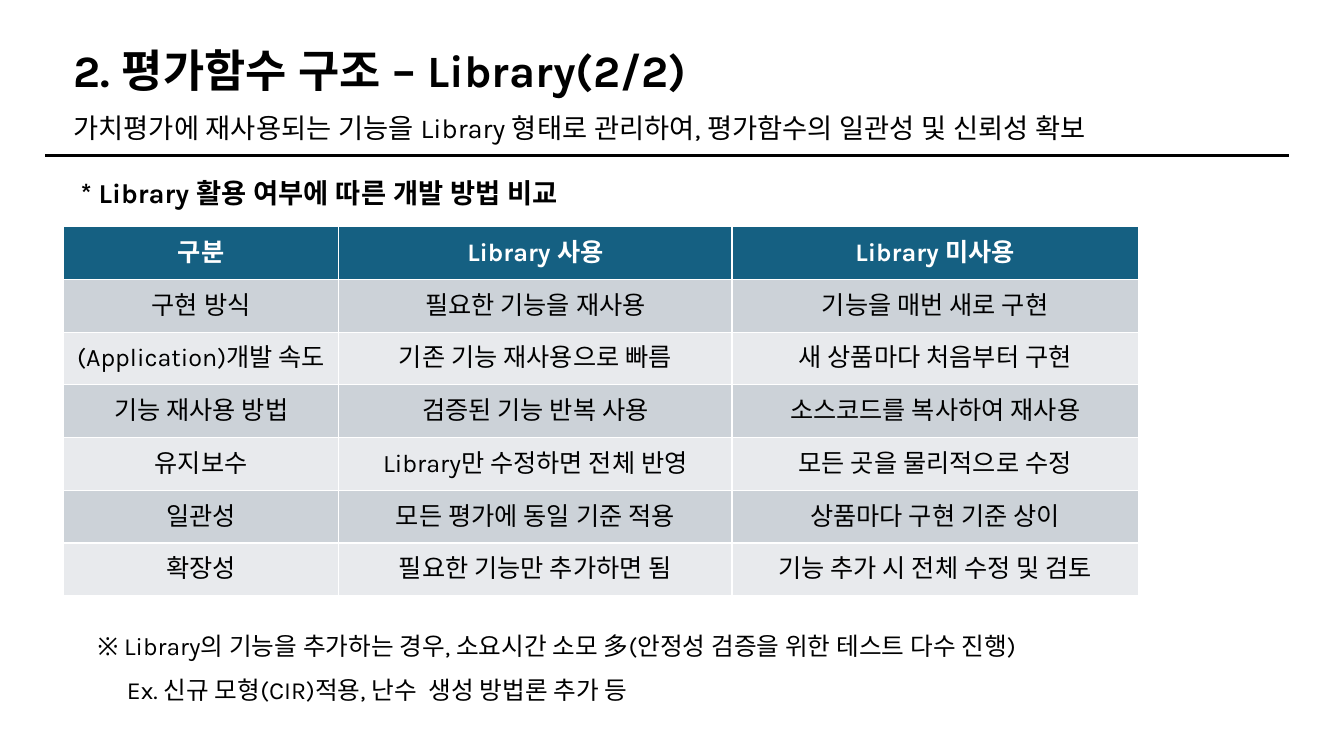
import pptx
import pptx.util
import pptx.dml.color
import pptx.enum.shapes
import pptx.enum.text
import pptx.oxml.ns
import lxml.etree

PX = 9144  # 100 px to the inch
FONT = "Karla"
HUES = {"ink": "000000", "white": "FFFFFF", "head": "156082",
        "dark": "CCD2D8", "light": "E8EAED"}
ALIGN = pptx.enum.text.PP_ALIGN
MID = pptx.enum.text.MSO_ANCHOR.MIDDLE


def tint(name):
    return pptx.dml.color.RGBColor.from_string(HUES[name])


def write(para, text, size, bold=False, hue="ink", align=ALIGN.LEFT, lead=None, indent=0):
    para.alignment = align
    para.line_spacing = lead
    para.space_before = pptx.util.Pt(0)
    if indent:
        para._p.get_or_add_pPr().set("marL", str(indent * PX))
    run = para.add_run()
    run.text = text
    run.font.size = pptx.util.Pt(size)
    run.font.bold = bold
    run.font.name = FONT
    run.font.color.rgb = tint(hue)
    east = lxml.etree.SubElement(run._r.get_or_add_rPr(), pptx.oxml.ns.qn("a:ea"))
    east.set("typeface", FONT)


deck = pptx.Presentation()
deck.slide_width, deck.slide_height = 1333 * PX, 750 * PX
slide = deck.slides.add_slide(deck.slide_layouts[5])
shapes = slide.shapes

# Title
title = shapes.title
title.left, title.top, title.width, title.height = 63 * PX, 40 * PX, 1110 * PX, 65 * PX
title.text_frame.auto_size = pptx.enum.text.MSO_AUTO_SIZE.NONE
title.text_frame.vertical_anchor = MID
write(title.text_frame.paragraphs[0], "2. 평가함수 구조 – Library(2/2)", 32, bold=True, lead=0.9)

# Rule under the heading
rule = shapes.add_connector(pptx.enum.shapes.MSO_CONNECTOR.STRAIGHT,
                            45 * PX, 154 * PX, 1278 * PX, 154 * PX)
rule.line.color.rgb = tint("ink")
rule.line.width = pptx.util.Pt(2.25)
lxml.etree.SubElement(rule._element.spPr, pptx.oxml.ns.qn("a:effectLst"))

# Lead line, table caption and notes: box, format, then (text, indent) lines
texts = [
    ((63, 107, 1251, 43), MID, {"size": 19.5, "lead": 0.9},
     [("가치평가에 재사용되는 기능을 Library 형태로 관리하여, 평가함수의 일관성 및 신뢰성 확보", 0)]),
    ((63, 172, 1251, 43), MID, {"size": 19.5, "lead": 0.9, "bold": True},
     [("* Library 활용 여부에 따른 개발 방법 비교", 7)]),
    ((82, 600, 1141, 110), MID, {"size": 17.6, "lead": 1.5},
     [("※ Library의 기능을 추가하는 경우, 소요시간 소모 多(안정성 검증을 위한 테스트 다수 진행)", 5),
      ("Ex. 신규 모형(CIR)적용, 난수  생성 방법론 추가 등", 34)]),
]
for box, anchor, style, lines in texts:
    frame = shapes.add_textbox(*[side * PX for side in box]).text_frame
    frame.word_wrap = True
    frame.vertical_anchor = anchor
    for i, (line, indent) in enumerate(lines):
        para = frame.add_paragraph() if i else frame.paragraphs[0]
        write(para, line, indent=indent, **style)

# Comparison table
rows = [
    ("구분", "Library 사용", "Library 미사용"),
    ("구현 방식", "필요한 기능을 재사용", "기능을 매번 새로 구현"),
    ("(Application)개발 속도", "기존 기능 재사용으로 빠름", "새 상품마다 처음부터 구현"),
    ("기능 재사용 방법", "검증된 기능 반복 사용", "소스코드를 복사하여 재사용"),
    ("유지보수", "Library만 수정하면 전체 반영", "모든 곳을 물리적으로 수정"),
    ("일관성", "모든 평가에 동일 기준 적용", "상품마다 구현 기준 상이"),
    ("확장성", "필요한 기능만 추가하면 됨", "기능 추가 시 전체 수정 및 검토"),
]
widths = [273, 390, 403]
table = shapes.add_table(len(rows), len(widths), 63 * PX, 225 * PX,
                         sum(widths) * PX, 366 * PX).table
for col, width in zip(table.columns, widths):
    col.width = width * PX
for r, row in enumerate(rows):
    band = "head" if r == 0 else "dark" if r % 2 else "light"
    for c, text in enumerate(row):
        cell = table.cell(r, c)
        cell.vertical_anchor = MID
        write(cell.text_frame.paragraphs[0], text, 18, bold=r == 0,
              hue="ink" if r else "white", align=ALIGN.CENTER)
        # Borders come before the fill in the cell's XML
        props = cell._tc.get_or_add_tcPr()
        for edge in ("lnL", "lnR", "lnT", "lnB"):
            line = lxml.etree.SubElement(props, pptx.oxml.ns.qn("a:" + edge), w="12700")
            solid = lxml.etree.SubElement(line, pptx.oxml.ns.qn("a:solidFill"))
            lxml.etree.SubElement(solid, pptx.oxml.ns.qn("a:srgbClr"), val=HUES["white"])
        cell.fill.solid()
        cell.fill.fore_color.rgb = tint(band)

deck.save("out.pptx")
